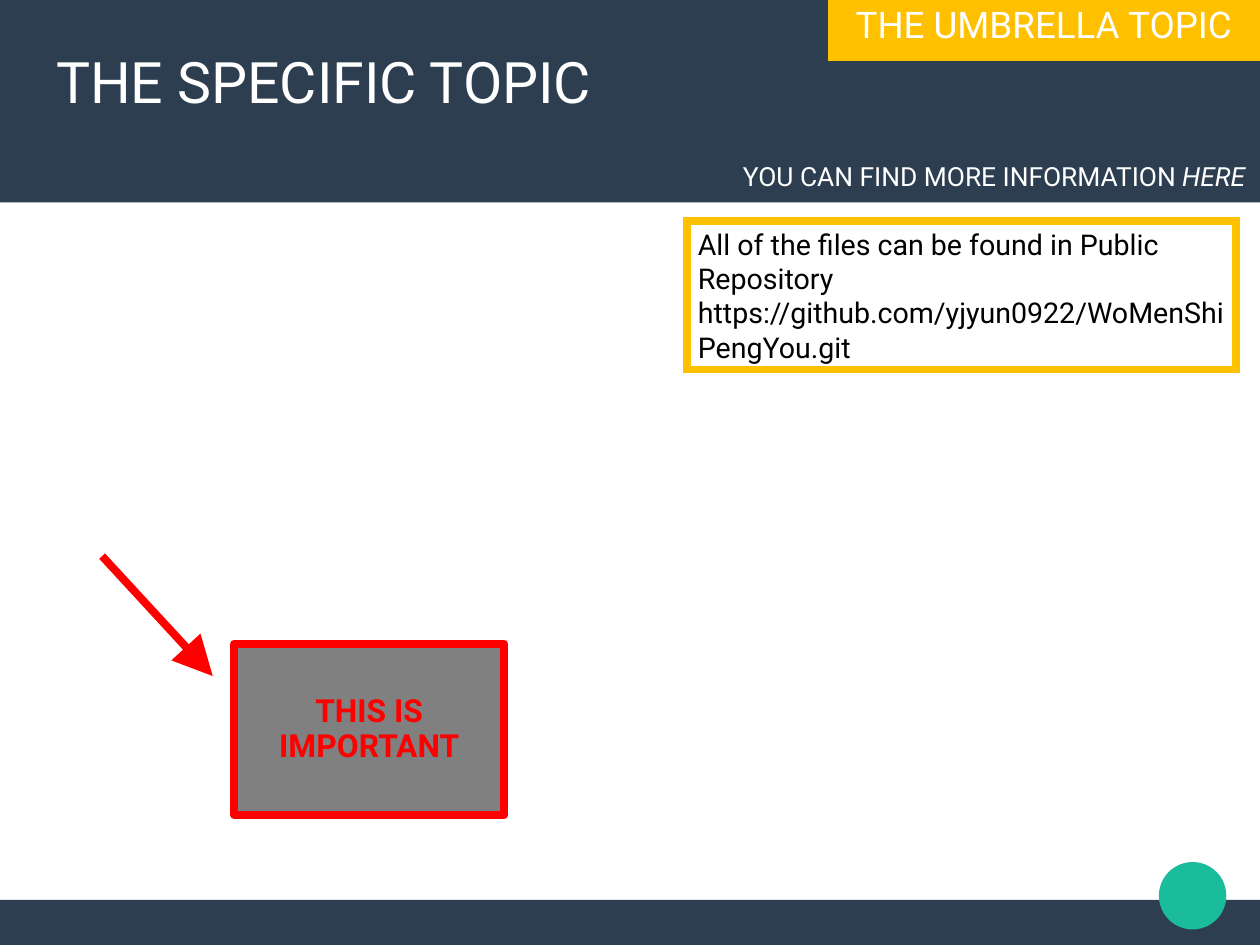
"""Build a topic slide with a header, a repository note and a callout."""
from dataclasses import dataclass
from typing import Optional

from lxml.etree import SubElement
from pptx import Presentation
from pptx.dml.color import RGBColor
from pptx.enum.shapes import MSO_SHAPE
from pptx.enum.text import MSO_ANCHOR, PP_ALIGN
from pptx.oxml.ns import qn
from pptx.util import Pt

NAVY = RGBColor(0x2C, 0x3E, 0x50)
TEAL = RGBColor(0x1A, 0xBC, 0x9C)
GOLD = RGBColor(0xFF, 0xC0, 0x00)
GRAY = RGBColor(0x80, 0x80, 0x80)
RED = RGBColor(0xFF, 0x00, 0x00)
WHITE = RGBColor(0xFF, 0xFF, 0xFF)
BLACK = RGBColor(0x00, 0x00, 0x00)
WIDE, HIGH = 793.7, 595.28


@dataclass
class Label:
    text: str
    size: float
    color: RGBColor = WHITE
    align: PP_ALIGN = PP_ALIGN.LEFT
    anchor: MSO_ANCHOR = MSO_ANCHOR.TOP
    pitch: float = 1.0
    bold: bool = False
    tail: str = ""


@dataclass
class Box:
    left: float
    top: float
    width: float
    height: float
    fill: Optional[RGBColor] = None
    line: Optional[RGBColor] = None
    label: Optional[Label] = None
    kind: MSO_SHAPE = MSO_SHAPE.RECTANGLE
    adjust: tuple[float, ...] = ()


BOXES = [
    Box(0, 566.9, WIDE, HIGH - 566.9, NAVY),
    Box(0, 0, WIDE, 127.5, NAVY),
    Box(730, 543, 42.5, 42.5, TEAL, kind=MSO_SHAPE.OVAL),
    Box(521.6, 0, WIDE - 521.6, 38.3, GOLD,
        label=Label("THE UMBRELLA TOPIC", 23.1, align=PP_ALIGN.CENTER, pitch=0.94)),
    Box(419.8, 99.1, 371.5, 29.5,
        label=Label("YOU CAN FIND MORE INFORMATION ", 16.6, align=PP_ALIGN.RIGHT,
                    pitch=0.94, tail="HERE")),
    Box(28.3, 23.8, 737.3, 75.6, label=Label("THE SPECIFIC TOPIC", 36, pitch=1.04)),
    Box(147.6, 405.4, 170, 108, GRAY, RED,
        Label("THIS IS IMPORTANT", 20, RED, PP_ALIGN.CENTER, MSO_ANCHOR.MIDDLE,
              0.93, True),
        MSO_SHAPE.LINE_CALLOUT_1, (0.19, -0.08, -0.51, -0.49)),
    Box(432.5, 139.2, 346.3, 93.6, line=GOLD,
        label=Label("All of the files can be found in Public Repository "
                    "https://github.com/yjyun0922/WoMenShiPengYou.git",
                    18, BLACK, anchor=MSO_ANCHOR.MIDDLE)),
]


def write(shape, label: Label) -> None:
    frame = shape.text_frame
    frame.text = label.text
    frame.word_wrap = True
    frame.vertical_anchor = label.anchor
    para = frame.paragraphs[0]
    para.alignment = label.align
    para.line_spacing = label.pitch
    if label.tail:
        end = para.add_run()
        end.text = label.tail
        end.font.italic = True
    for run in para.runs:
        run.font.name = "Roboto"
        run.font.size = Pt(label.size)
        run.font.bold = label.bold
        run.font.color.rgb = label.color


def paint(shape, box: Box) -> None:
    if box.fill:
        shape.fill.solid()
        shape.fill.fore_color.rgb = box.fill
    else:
        shape.fill.background()
    if not box.line:
        shape.line.fill.background()
        return
    shape.line.color.rgb = box.line
    shape.line.width = Pt(5)
    edge = shape.line._get_or_add_ln()
    SubElement(edge, qn("a:round" if box.adjust else "a:miter"))
    for spot, value in enumerate(box.adjust):
        shape.adjustments[spot] = value
    if box.adjust:
        SubElement(edge, qn("a:headEnd"), type="triangle", w="lg", len="lg")


def draw(slide, box: Box) -> None:
    place = [Pt(n) for n in (box.left, box.top, box.width, box.height)]
    if box.fill or box.line:
        shape = slide.shapes.add_shape(box.kind, *place)
        shape.shadow.inherit = False
        paint(shape, box)
    else:
        shape = slide.shapes.add_textbox(*place)
    if box.label:
        write(shape, box.label)


def main() -> None:
    deck = Presentation()
    deck.slide_width, deck.slide_height = Pt(WIDE), Pt(HIGH)
    slide = deck.slides.add_slide(deck.slide_layouts[6])
    for box in BOXES:
        draw(slide, box)
    deck.save("out.pptx")


if __name__ == "__main__":
    main()
